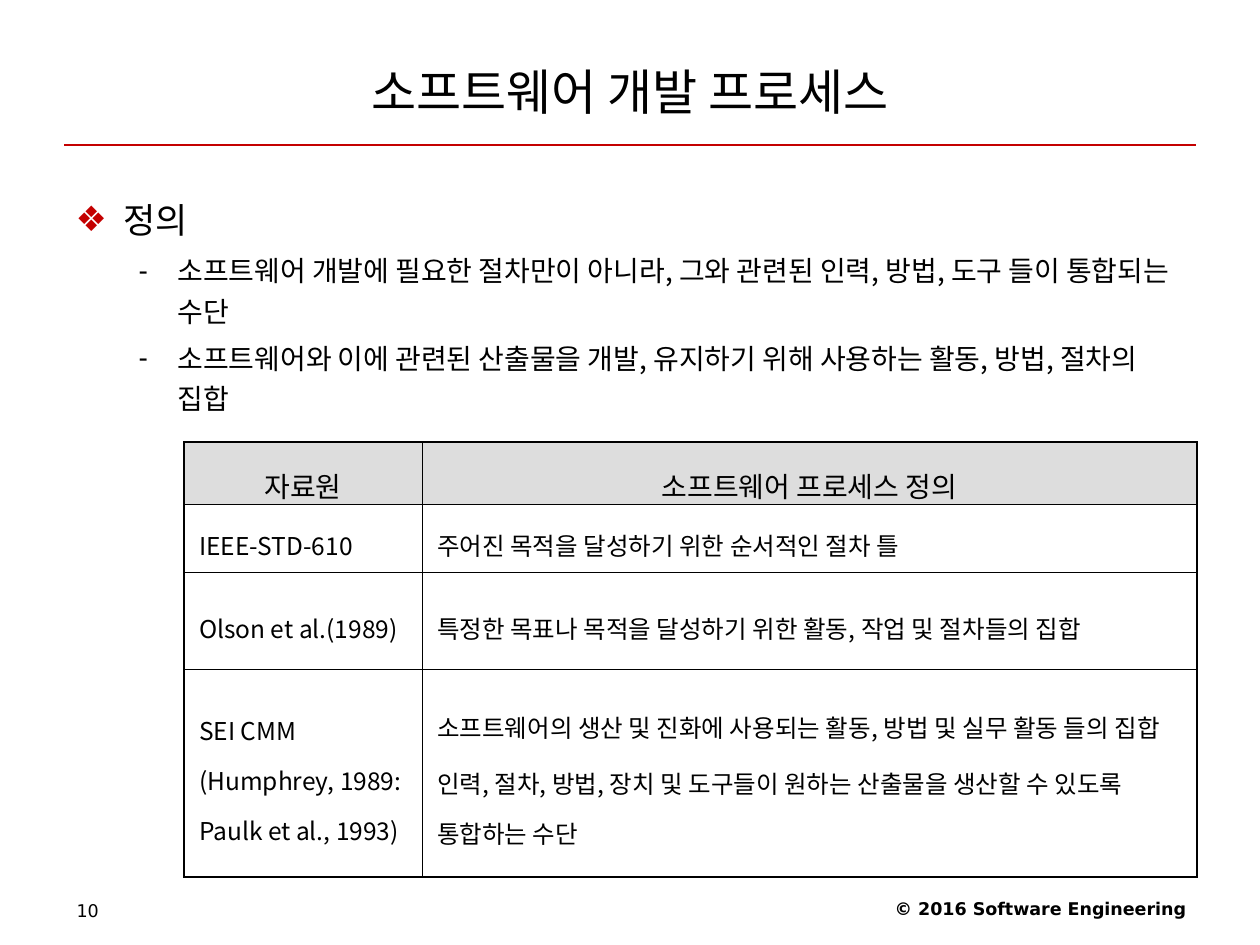
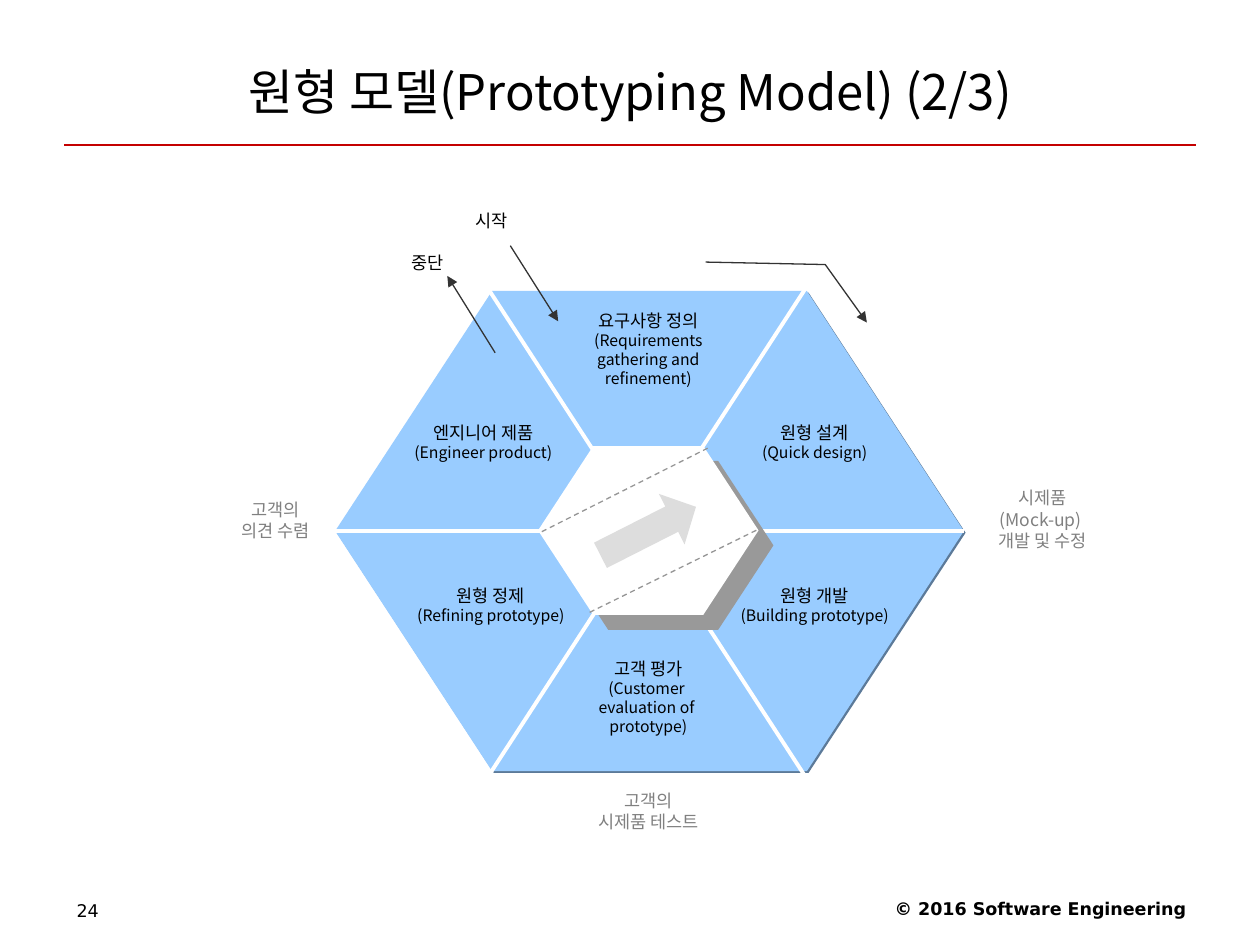
from dataclasses import dataclass
from typing import Any, Optional, Sequence

import lxml.etree
import pptx
import pptx.dml.color
import pptx.enum.dml
import pptx.enum.shapes
import pptx.enum.text
import pptx.oxml.ns
import pptx.util

# Shared look
WIDTH, HEIGHT = pptx.util.Inches(10), pptx.util.Inches(7.5)
COLUMNS, ROWS = 100, 75
KOREAN, LATIN = "Noto Sans CJK KR", "DejaVu Sans"
BLACK, WHITE, RED = "000000", "FFFFFF", "C40000"
SKY, SKY_SHADE, SHADE = "99CCFF", "5C7A99", "999999"
PALE, MUTED, DASH, ARROW = "DDDDDD", "808080", "969696", "333333"
OUTER, INNER = 1.08, 0.45

ALIGN = pptx.enum.text.PP_ALIGN
ANCHOR = pptx.enum.text.MSO_ANCHOR
AUTO_SIZE = pptx.enum.text.MSO_AUTO_SIZE
SHAPE = pptx.enum.shapes.MSO_SHAPE
Pt = pptx.util.Pt


@dataclass(frozen=True)
class Box:
    """A place on the grid: column, row, columns wide, rows high."""
    column: float
    row: float
    columns: float
    rows: float

    def emu(self) -> tuple[int, int, int, int]:
        return (across(self.column), down(self.row),
                across(self.columns), down(self.rows))


@dataclass(frozen=True)
class Bullet:
    mark: str
    color: str
    level: int
    indent: float
    hang: float


@dataclass(frozen=True)
class Line:
    text: str
    size: float = 10
    color: str = BLACK
    font: str = KOREAN
    bold: bool = False
    align: Any = ALIGN.CENTER
    spacing: float = 1.0
    before: float = 0
    bullet: Optional[Bullet] = None


@dataclass(frozen=True)
class Stroke:
    start: tuple[float, float]
    end: tuple[float, float]
    color: str
    width: float = 0.75
    arrow: str = ""
    dashed: bool = False


@dataclass(frozen=True)
class Block:
    kind: Any
    box: Box
    fill: str
    adjustments: tuple[float, float]
    rotation: float = 0
    shade: str = ""
    distance: float = 0


@dataclass(frozen=True)
class Label:
    box: Box
    lines: tuple[Line, ...]


def across(columns: float) -> int:
    return round(WIDTH * columns / COLUMNS)


def down(rows: float) -> int:
    return round(HEIGHT * rows / ROWS)


def rgb(color: str) -> pptx.dml.color.RGBColor:
    return pptx.dml.color.RGBColor.from_string(color)


def assign(target: Any, values: dict[str, Any]) -> None:
    for name, value in values.items():
        setattr(target, name, value)


def child(parent: Any, tag: str, **attributes: Any) -> Any:
    texts = {name: str(value) for name, value in attributes.items()}
    return lxml.etree.SubElement(parent, pptx.oxml.ns.qn(tag), texts)


# Text
def write(frame: Any, lines: Sequence[Line], **frame_format: Any) -> None:
    assign(frame, {"word_wrap": True, **frame_format})
    for number, line in enumerate(lines):
        paragraph = frame.add_paragraph() if number else frame.paragraphs[0]
        paragraph.text = line.text
        assign(paragraph, {"alignment": line.align, "line_spacing": line.spacing,
                           "space_before": Pt(line.before if number else 0)})
        if line.bullet:
            add_bullet(paragraph, line.bullet)
        for run in paragraph.runs:
            assign(run.font, {"size": Pt(line.size), "name": line.font, "bold": line.bold})
            run.font.color.rgb = rgb(line.color)
            child(run.font._element, "a:ea", typeface=line.font)
        for line_break in paragraph._p.findall(pptx.oxml.ns.qn("a:br")):
            child(line_break, "a:rPr", sz=round(line.size * 100))


def add_bullet(paragraph: Any, bullet: Bullet) -> None:
    paragraph.level = bullet.level
    properties = paragraph._p.get_or_add_pPr()
    properties.set("marL", str(across(bullet.indent)))
    properties.set("indent", str(-across(bullet.hang)))
    child(child(properties, "a:buClr"), "a:srgbClr", val=bullet.color)
    child(properties, "a:buChar", char=bullet.mark)


def add_label(slide: Any, label: Label) -> None:
    write(slide.shapes.add_textbox(*label.box.emu()).text_frame, label.lines)


# Lines and shapes
def style_line(line: Any, color: str, width: float, arrow: str = "",
               dashed: bool = False) -> None:
    line.color.rgb = rgb(color)
    line.width = Pt(width)
    if dashed:
        line.dash_style = pptx.enum.dml.MSO_LINE.DASH
    if arrow:
        child(line._get_or_add_ln(), arrow, type="triangle")


def add_stroke(slide: Any, stroke: Stroke) -> None:
    (x1, y1), (x2, y2) = stroke.start, stroke.end
    connector = slide.shapes.add_connector(
        pptx.enum.shapes.MSO_CONNECTOR.STRAIGHT, across(x1), down(y1), across(x2), down(y2))
    style_line(connector.line, stroke.color, stroke.width, stroke.arrow, stroke.dashed)
    child(connector._element.spPr, "a:effectLst")


def add_block(slide: Any, block: Block) -> None:
    shape = slide.shapes.add_shape(block.kind, *block.box.emu())
    for number, value in enumerate(block.adjustments):
        shape.adjustments[number] = value
    shape.rotation = block.rotation
    shape.fill.solid()
    shape.fill.fore_color.rgb = rgb(block.fill)
    shape.line.fill.background()
    shape.shadow.inherit = False
    if block.shade:
        effects = shape._element.spPr.find(pptx.oxml.ns.qn("a:effectLst"))
        shadow = child(effects, "a:outerShdw", blurRad=0, dist=Pt(block.distance),
                       dir=45 * 60000, algn="ctr", rotWithShape=0)
        child(shadow, "a:srgbClr", val=block.shade)


def add_turn(slide: Any, points: Sequence[tuple[float, float]]) -> None:
    start, *rest = [(across(x), down(y)) for x, y in points]
    builder = slide.shapes.build_freeform(*start)
    builder.add_line_segments(rest, close=False)
    turn = builder.convert_to_shape()
    turn.fill.background()
    style_line(turn.line, ARROW, 0.75, "a:tailEnd")
    turn.shadow.inherit = False


# Title, rule and footer of every slide
def add_page(deck: Any, layout: int, title: str, number: int) -> Any:
    slide = deck.slides.add_slide(deck.slide_layouts[layout])
    heading = slide.shapes.title
    place(heading, Box(5, 3, 90, 8.5))
    write(heading.text_frame, [Line(title, 28)],
          vertical_anchor=ANCHOR.MIDDLE, auto_size=AUTO_SIZE.NONE)
    add_stroke(slide, Stroke((5.1, 11.5), (94.9, 11.5), RED))
    add_label(slide, Label(Box(63.4, 70.8, 31.7, 2.9), (
        Line("© 2016 Software Engineering", font=LATIN, bold=True, align=ALIGN.RIGHT),)))
    add_label(slide, Label(Box(5.1, 70.9, 23.3, 2.8), (
        Line(str(number), font=LATIN, align=ALIGN.LEFT),)))
    return slide


def place(shape: Any, box: Box) -> None:
    assign(shape, dict(zip(("left", "top", "width", "height"), box.emu())))


# Slide: definition of the process
DEFINITIONS = [
    ("자료원", "소프트웨어 프로세스 정의"),
    ("IEEE-STD-610", "주어진 목적을 달성하기 위한 순서적인 절차 틀"),
    ("Olson et al.(1989)", "특정한 목표나 목적을 달성하기 위한 활동, 작업 및 절차들의 집합"),
    ("SEI CMM \v(Humphrey, 1989: Paulk et al., 1993)",
     "소프트웨어의 생산 및 진화에 사용되는 활동, 방법 및 실무 활동 들의 집합\n"
     "인력, 절차, 방법, 장치 및 도구들이 원하는 산출물을 생산할 수 있도록 통합하는 수단"),
]
SOURCE_COLUMNS = (18.9, 61.5)
SOURCE_ROWS = (4.9, 5.4, 7.7, 16.5)


def add_definitions(slide: Any) -> None:
    box = Box(14.6, 35.1, sum(SOURCE_COLUMNS), sum(SOURCE_ROWS))
    table = slide.shapes.add_table(len(SOURCE_ROWS), len(SOURCE_COLUMNS), *box.emu()).table
    assign(table, {"first_row": False, "horz_banding": False})
    for column, width in zip(table.columns, SOURCE_COLUMNS):
        column.width = across(width)
    for row, height in zip(table.rows, SOURCE_ROWS):
        row.height = down(height)
    last_row, last_column = len(SOURCE_ROWS) - 1, len(SOURCE_COLUMNS) - 1
    for r, texts in enumerate(DEFINITIONS):
        for c, text in enumerate(texts):
            cell = table.cell(r, c)
            header = r == 0
            assign(cell, {"margin_left": across(1.2), "margin_right": across(1.2),
                          "vertical_anchor": ANCHOR.TOP if header else ANCHOR.MIDDLE})
            edges = {"a:lnL": c == 0, "a:lnR": c == last_column,
                     "a:lnT": header, "a:lnB": r == last_row}
            for tag, outer in edges.items():
                border = child(cell._tc.get_or_add_tcPr(), tag, w=Pt(OUTER if outer else INNER))
                child(child(border, "a:solidFill"), "a:srgbClr", val=BLACK)
            if header:
                cell.fill.solid()
                cell.fill.fore_color.rgb = rgb(PALE)
            else:
                cell.fill.background()
            write(cell.text_frame, [
                Line(part, 16 if header else 14, spacing=1.4, before=3.5,
                     align=ALIGN.CENTER if header else ALIGN.LEFT)
                for part in text.split("\n")])


def build_definition(deck: Any) -> None:
    slide = add_page(deck, 1, "소프트웨어 개발 프로세스", 10)
    topic = Bullet("❖", RED, 0, 3.8, 3.8)
    detail = Bullet("-", BLACK, 1, 8.1, 3.1)
    details = ("소프트웨어 개발에 필요한 절차만이 아니라, 그와 관련된 인력, 방법, 도구 들이 통합되는 수단",
               "소프트웨어와 이에 관련된 산출물을 개발, 유지하기 위해 사용하는 활동, 방법, 절차의 집합")
    body = slide.placeholders[1]
    place(body, Box(5, 13.9, 90, 55.1))
    write(body.text_frame, [
        Line("정의", 20, align=ALIGN.LEFT, spacing=1.4, bullet=topic),
        *(Line(text, 16, align=ALIGN.LEFT, spacing=1.2, before=4, bullet=detail)
          for text in details)], auto_size=AUTO_SIZE.NONE)
    add_definitions(slide)


# Slide: cycle of the prototyping model
def step(column: float, row: float, rows: float, name: str, *english: str) -> Label:
    return Label(Box(column, row, 16.1, rows),
                 (Line(name), *(Line(text, 9) for text in english)))


def remark(column: float, row: float, rows: float, *texts: str) -> Label:
    return Label(Box(column, row, 16.1, rows),
                 tuple(Line(text, color=MUTED) for text in texts))


CYCLE = Block(SHAPE.HEXAGON, Box(26.6, 23.1, 49.9, 38.1), SKY, (0.327, 1.155),
              shade=SKY_SHADE, distance=1.4)
CORE = Block(SHAPE.HEXAGON, Box(42.7, 35.4, 17.5, 13.4), WHITE, (0.327, 1.155),
             shade=SHADE, distance=12.1)
PROGRESS = Block(SHAPE.RIGHT_ARROW, Box(47.2, 39.9, 8.5, 4.5), PALE, (0.5, 0.479), 333.1)
MIDDLE = CYCLE.box.row + CYCLE.box.rows / 2
DIVIDERS = [
    Stroke((CYCLE.box.column + CYCLE.box.columns, MIDDLE), (CYCLE.box.column, MIDDLE), WHITE, 2.25),
    Stroke((37.3, 20.7), (65, 63.3), WHITE, 2.25),
    Stroke((37.2, 64), (65.1, 21.1), WHITE, 2.25),
]
ENTRY_AND_EXIT = [
    Stroke((40.5, 19.5), (44.3, 25.5), ARROW, arrow="a:tailEnd"),
    Stroke((35.5, 21.9), (39.3, 28), ARROW, arrow="a:headEnd"),
]
GUIDES = [
    Stroke((46.8, 48.6), (60.2, 42), DASH, dashed=True),
    Stroke((43, 42.2), (56.3, 35.5), DASH, dashed=True),
]
LABELS = [
    step(43.4, 24.1, 7.2, "요구사항 정의", "(Requirements\vgathering and refinement)"),
    step(56.6, 33, 4.2, "원형 설계", "(Quick design)"),
    step(56.6, 45.9, 4.2, "원형 개발", "(Building prototype)"),
    step(43.4, 51.7, 7.2, "고객 평가", "(Customer \vevaluation of ", "prototype)"),
    step(30.9, 45.9, 4.2, "원형 정제", "(Refining prototype)"),
    step(30.3, 33, 4.2, "엔지니어 제품", "(Engineer product)"),
    Label(Box(36.5, 16.2, 5, 2.7), (Line("시작"),)),
    Label(Box(31.4, 19.5, 5, 2.7), (Line("중단"),)),
    remark(74.7, 38.2, 6, "시제품", "(Mock-up) ", "개발 및 수정"),
    remark(13.8, 39.1, 4.4, "고객의", "의견 수렴"),
    remark(43.4, 62.2, 4.4, "고객의", "시제품 테스트"),
]


def build_prototyping(deck: Any) -> None:
    slide = add_page(deck, 5, "원형 모델(Prototyping Model) (2/3)", 24)
    add_block(slide, CYCLE)
    for divider in DIVIDERS:
        add_stroke(slide, divider)
    add_block(slide, CORE)
    add_turn(slide, [(56, 20.8), (65.5, 21), (68.8, 25.6)])
    for arrow in ENTRY_AND_EXIT:
        add_stroke(slide, arrow)
    for label in LABELS:
        add_label(slide, label)
    add_block(slide, PROGRESS)
    for guide in GUIDES:
        add_stroke(slide, guide)


def main() -> None:
    deck = pptx.Presentation()
    assign(deck, {"slide_width": WIDTH, "slide_height": HEIGHT})
    build_definition(deck)
    build_prototyping(deck)
    deck.save("out.pptx")


if __name__ == "__main__":
    main()
